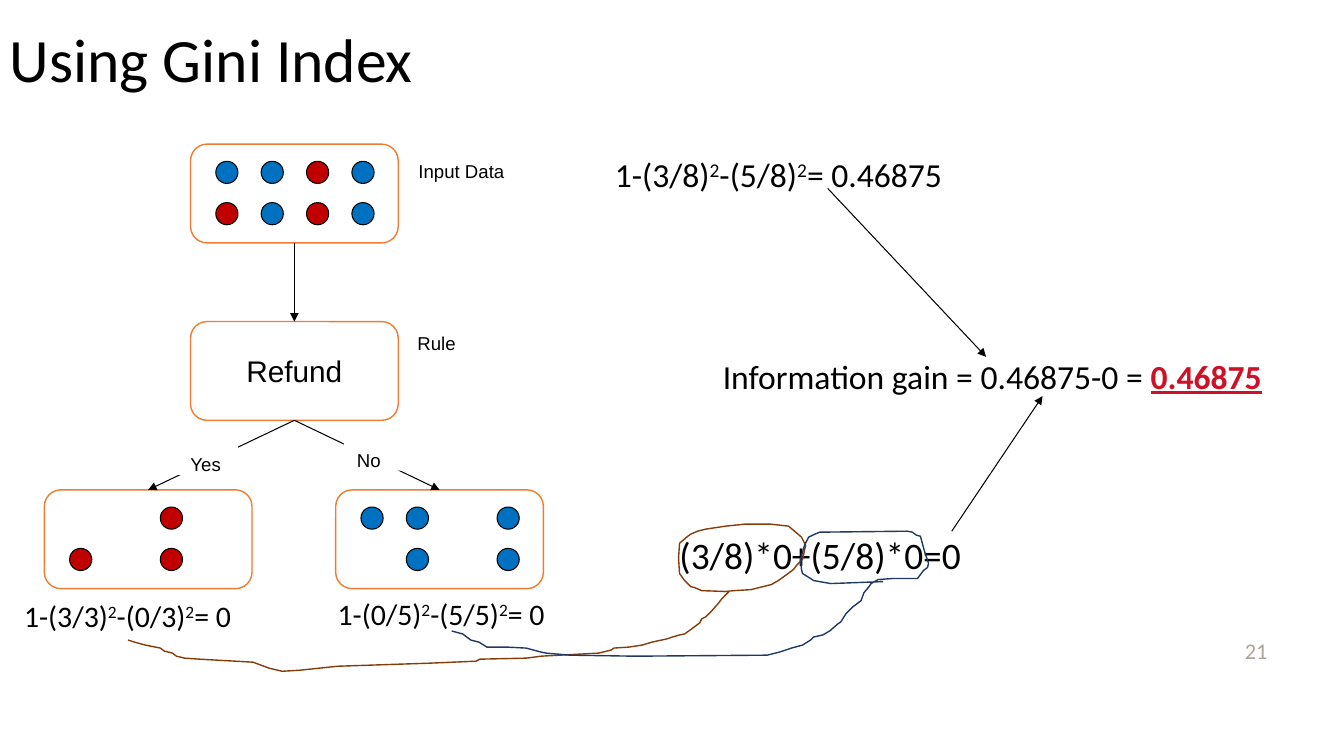
from dataclasses import dataclass

from lxml.etree import SubElement
from pptx import Presentation
from pptx.dml.color import RGBColor
from pptx.enum.shapes import MSO_CONNECTOR, MSO_SHAPE
from pptx.enum.text import MSO_ANCHOR as Anchor, PP_ALIGN as Align
from pptx.oxml.ns import qn
from pptx.util import Inches, Pt

BLACK, WHITE, GRAY = "000000", "FFFFFF", "ACA39A"
ORANGE, BROWN, NAVY, RED = "ED7D31", "843C0B", "203864", "CE1126"
DOT_FILL = {"B": "0070C0", "R": "C00000"}
BOX_W, BOX_H = 2.06, 0.98
DOT, STEP_X, STEP_Y = 0.22, 0.45, 0.41


@dataclass
class Node:
    x: float
    y: float
    rows: tuple[str, ...] = ()  # B blue, R red, . empty

    @property
    def top(self) -> tuple[float, float]:
        return self.x + BOX_W / 2, self.y

    @property
    def foot(self) -> tuple[float, float]:
        return self.x + BOX_W / 2, self.y + BOX_H


@dataclass
class Label:
    text: str
    x: float
    y: float
    w: float
    h: float = 0.29
    size: float = 13.3
    font: str = "Arial"
    color: str = BLACK
    fill: str = ""
    pad: tuple[float, float] = (0.1, 0.05)
    wrap: bool = True
    align: Align = Align.LEFT
    anchor: Anchor = Anchor.TOP
    spacing: float = 1.0
    strong: str = ""  # closing words, bold, red and underlined


@dataclass
class Stroke:
    color: str
    points: list[tuple[float, float]]


def tag(text: str, x: float, y: float, w: float) -> Label:
    return Label(text, x, y, w, fill=WHITE, pad=(0.13, 0.07))


def math(text: str, x: float, y: float, w: float, h: float, size: float,
         wrap: bool = True, strong: str = "") -> Label:
    return Label(text, x, y, w, h, size, "Calibri", wrap=wrap, strong=strong)


DATA = Node(1.89, 1.43, ("BBRB", "RBRB"))
RULE = Node(1.89, 3.19)
YES = Node(0.44, 4.86, ("..R.", "R.R."))
NO = Node(3.33, 4.86, ("BB.B", ".B.B"))

ARROWS = [
    (RULE.foot, YES.top),
    (RULE.foot, NO.top),
    (DATA.foot, RULE.top),
    ((8.21, 1.87), (9.78, 3.54)),
    ((9.44, 5.27), (10.34, 3.93)),
]

# Pairs of carets enclose a superscript.
LABELS = [
    Label("Using Gini Index", 0, 0, 11.33, 1.25, 44, "Calibri",
          anchor=Anchor.MIDDLE, spacing=0.9),
    Label("21", 9.56, 6.25, 3.11, 0.4, 16, "Calibri", GRAY,
          align=Align.RIGHT, anchor=Anchor.MIDDLE),
    Label("Refund", RULE.x, RULE.y, BOX_W, BOX_H, 21.3, pad=(0.13, 0.07),
          align=Align.CENTER, anchor=Anchor.MIDDLE),
    tag("Yes", 1.76, 4.42, 0.6),
    tag("No", 3.41, 4.38, 0.6),
    tag("Input Data", 4.02, 1.52, 1.67),
    tag("Rule", 4.01, 3.22, 1.67),
    math("1-(3/8)^2^-(5/8)^2^= 0.46875", 6, 1.48, 3.5, 0.5, 24, wrap=False),
    math("1-(3/3)^2^-(0/3)^2^= 0", 0.14, 5.88, 2.55, 0.46, 21.3),
    math("1-(0/5)^2^-(5/5)^2^= 0", 3.25, 5.86, 2.55, 0.46, 21.3),
    math("(3/8)*0+(5/8)*0=0", 6.64, 5.23, 3.81, 0.55, 26.7),
    math("Information gain = 0.46875-0 = ", 7.07, 3.48, 5.59, 0.5, 24,
         wrap=False, strong="0.46875"),
]

STROKES = [
    Stroke(BROWN, [
        (1.27, 6.35), (1.33, 6.37), (1.44, 6.4), (1.59, 6.43), (1.63, 6.46),
        (1.71, 6.48), (1.75, 6.51), (1.83, 6.53), (1.98, 6.54), (2.51, 6.57),
        (2.67, 6.63), (2.8, 6.66), (2.97, 6.65), (3.35, 6.61), (4.26, 6.58),
        (4.72, 6.56), (4.76, 6.54), (5.22, 6.53), (5.37, 6.51), (5.94, 6.48),
        (6.06, 6.45), (6.09, 6.43), (6.24, 6.42), (6.37, 6.4), (6.47, 6.37),
        (6.61, 6.34), (6.67, 6.32), (6.74, 6.3), (6.79, 6.29), (6.86, 6.24),
        (6.94, 6.18), (6.96, 6.14), (7, 6.12), (7.06, 6.06), (7.13, 5.98),
        (7.16, 5.94), (7.23, 5.87), (6.96, 5.86), (6.89, 5.83), (6.85, 5.82),
        (6.79, 5.76), (6.74, 5.69), (6.73, 5.54), (6.74, 5.39), (6.81, 5.33),
        (6.85, 5.3), (6.92, 5.27), (7, 5.25), (7.2, 5.22), (7.39, 5.2),
        (7.64, 5.2), (7.82, 5.22), (7.88, 5.27), (7.95, 5.33), (7.99, 5.41),
        (7.96, 5.55), (7.9, 5.61), (7.87, 5.65), (7.83, 5.68), (7.72, 5.76),
        (7.65, 5.8), (7.57, 5.82), (7.45, 5.85), (7.28, 5.86), (7.18, 5.87)]),
    Stroke(NAVY, [
        (4.48, 6.26), (4.59, 6.29), (4.67, 6.35), (4.75, 6.37), (4.83, 6.42),
        (5.03, 6.42), (5.22, 6.43), (5.37, 6.47), (5.42, 6.48), (5.65, 6.5),
        (6.3, 6.51), (7.61, 6.5), (7.73, 6.47), (7.85, 6.43), (7.96, 6.4),
        (8.04, 6.35), (8.07, 6.32), (8.16, 6.3), (8.23, 6.26), (8.31, 6.19),
        (8.34, 6.17), (8.39, 6.09), (8.46, 6.02), (8.54, 5.96), (8.57, 5.88),
        (8.62, 5.82), (8.64, 5.79), (8.71, 5.75), (8.85, 5.74), (9.1, 5.74),
        (9.16, 5.66), (9.2, 5.63), (9.21, 5.59), (9.17, 5.47), (9.14, 5.36),
        (9.13, 5.32), (9.09, 5.31), (9.05, 5.28), (9, 5.27), (8.13, 5.28),
        (8.06, 5.31), (8.02, 5.33), (7.98, 5.41), (7.94, 5.55), (7.95, 5.65),
        (7.96, 5.69), (8.04, 5.74), (8.07, 5.76), (8.24, 5.79), (8.76, 5.77)]),
]


def paint(target, color: str) -> None:
    """Give a fill or a line one solid colour."""
    target.solid()
    target.fore_color.rgb = RGBColor.from_string(color)


def outline(shape, color: str, width: float) -> None:
    paint(shape.line.fill, color)
    shape.line.width = Pt(width)


def add_shape(slide, kind: MSO_SHAPE, x: float, y: float, w: float, h: float,
              fill: str, line: str, width: float) -> None:
    shape = slide.shapes.add_shape(kind, Inches(x), Inches(y), Inches(w), Inches(h))
    shape.shadow.inherit = False
    paint(shape.fill, fill)
    outline(shape, line, width)


def add_node(slide, node: Node) -> None:
    add_shape(slide, MSO_SHAPE.ROUNDED_RECTANGLE, node.x, node.y, BOX_W, BOX_H,
              WHITE, ORANGE, 1)
    for row, marks in enumerate(node.rows):
        for col, mark in enumerate(marks):
            if mark in DOT_FILL:
                add_shape(slide, MSO_SHAPE.OVAL, node.x + 0.25 + col * STEP_X,
                          node.y + 0.17 + row * STEP_Y, DOT, DOT,
                          DOT_FILL[mark], BLACK, 0.75)


def add_arrow(slide, start: tuple[float, float], end: tuple[float, float]) -> None:
    ends = [Inches(v) for v in (*start, *end)]
    arrow = slide.shapes.add_connector(MSO_CONNECTOR.STRAIGHT, *ends)
    outline(arrow, BLACK, 0.75)
    SubElement(arrow.line._get_or_add_ln(), qn("a:tailEnd"), type="triangle")
    SubElement(arrow._element.spPr, qn("a:effectLst"))


def add_label(slide, label: Label) -> None:
    box = slide.shapes.add_textbox(*map(Inches, (label.x, label.y, label.w, label.h)))
    if label.fill:
        paint(box.fill, label.fill)
    frame = box.text_frame
    frame.word_wrap = label.wrap
    frame.vertical_anchor = label.anchor
    frame.margin_left = frame.margin_right = Inches(label.pad[0])
    frame.margin_top = frame.margin_bottom = Inches(label.pad[1])
    para = frame.paragraphs[0]
    para.alignment, para.line_spacing = label.align, label.spacing
    para.font.name, para.font.size = label.font, Pt(label.size)
    paint(para.font.fill, label.color)
    for i, part in enumerate(label.text.split("^")):
        run = para.add_run()
        run.text = part
        if i % 2:
            run._r.get_or_add_rPr().set("baseline", "30000")
    if label.strong:
        run = para.add_run()
        run.text = label.strong
        run.font.bold = run.font.underline = True
        paint(run.font.fill, RED)


def add_stroke(slide, stroke: Stroke) -> None:
    first, *rest = [(Inches(x), Inches(y)) for x, y in stroke.points]
    pen = slide.shapes.build_freeform(*first)
    pen.add_line_segments(rest, close=False)
    shape = pen.convert_to_shape()
    shape.shadow.inherit = False
    shape.fill.background()
    outline(shape, stroke.color, 1)


def main() -> None:
    deck = Presentation()
    deck.slide_width, deck.slide_height = Inches(13.33), Inches(7.5)
    slide = deck.slides.add_slide(deck.slide_layouts[6])
    for node in (DATA, RULE, YES, NO):
        add_node(slide, node)
    for start, end in ARROWS:
        add_arrow(slide, start, end)
    for label in LABELS:
        add_label(slide, label)
    for stroke in STROKES:
        add_stroke(slide, stroke)
    deck.save("out.pptx")


if __name__ == "__main__":
    main()
